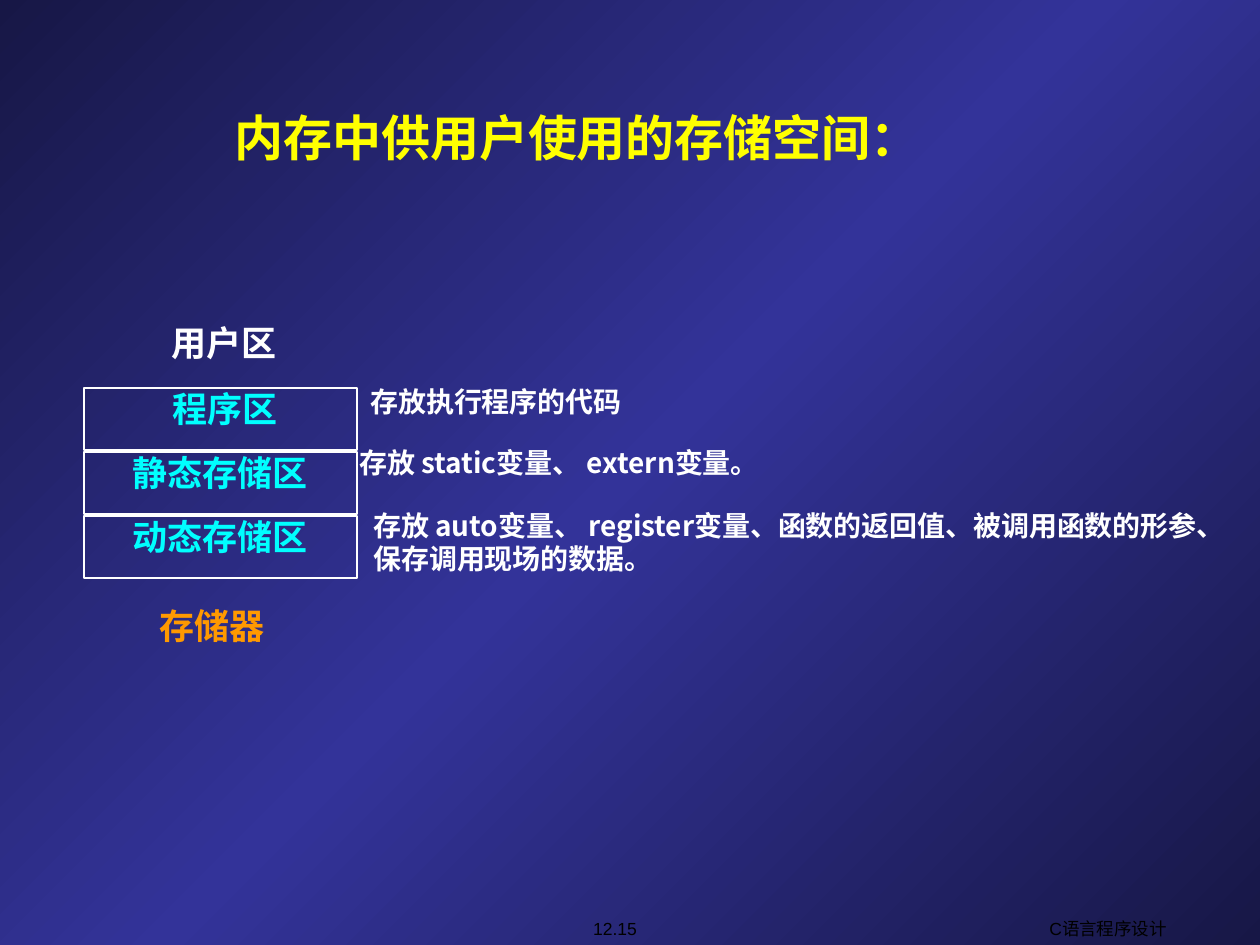
from copy import deepcopy
from dataclasses import dataclass

from lxml import etree
from pptx import Presentation
from pptx.dml.color import RGBColor
from pptx.enum.shapes import MSO_SHAPE
from pptx.enum.text import MSO_ANCHOR, MSO_AUTO_SIZE, PP_ALIGN
from pptx.oxml.ns import qn
from pptx.util import Emu, Pt

LEFT, CENTER = PP_ALIGN.LEFT, PP_ALIGN.CENTER
TOP, MIDDLE = MSO_ANCHOR.TOP, MSO_ANCHOR.MIDDLE
FIT_SHAPE, NO_FIT = MSO_AUTO_SIZE.SHAPE_TO_FIT_TEXT, MSO_AUTO_SIZE.NONE
RECT = MSO_SHAPE.RECTANGLE
TITLE_ONLY = 5
PX_PER_INCH = 126


@dataclass(frozen=True)
class Style:
    size: int
    color: str
    font: str = "Noto Sans CJK SC"
    bold: bool = True


@dataclass(frozen=True)
class Theme:
    edge: str = "171746"
    glow: str = "333399"
    border: str = "FFFFFF"
    east_asian: str = "Noto Sans CJK SC"
    title: Style = Style(28, "FFFF00")
    heading: Style = Style(20, "FFFFFF")
    caption: Style = Style(20, "FF9900")
    area: Style = Style(20, "00FFFF", "Times New Roman")
    note: Style = Style(16, "FFFFFF")
    footer: Style = Style(10, "000000", "Arial", False)


THEME = Theme()


@dataclass(frozen=True)
class Label:
    text: str
    x: int
    y: int
    w: int
    h: int
    style: Style
    align: PP_ALIGN = LEFT
    anchor: MSO_ANCHOR = TOP
    wrap: bool = False


@dataclass(frozen=True)
class Area:
    name: str
    indent: int = 0


LABELS = [
    Label("12.15", 551, 911, 128, 34, THEME.footer, CENTER, MIDDLE),
    Label("C语言程序设计", 1028, 911, 160, 34, THEME.footer, CENTER, MIDDLE),
    Label("用户区", 159, 315, 134, 55, THEME.heading),
    Label("存放执行程序的代码", 358, 378, 290, 47, THEME.note),
    Label("存放 static变量、 extern变量。", 347, 439, 480, 47, THEME.note),
    Label("存放 auto变量、 register变量、函数的返回值、被调用函数的形参、保存调用现场的数据。",
          361, 502, 859, 81, THEME.note, wrap=True),
    Label("存储器", 147, 598, 134, 55, THEME.caption),
]

AREAS = [Area("程序区", indent=10), Area("静态存储区"), Area("动态存储区")]
AREA_X, AREA_Y, AREA_W, AREA_H, AREA_PITCH = 84, 388, 273, 62, 64


def px(n: int) -> Emu:
    return Emu(round(n * 914400 / PX_PER_INCH))


def write(tf, text: str, style: Style, align: PP_ALIGN) -> None:
    p = tf.paragraphs[0]
    p.alignment = align
    r = p.add_run()
    r.text = text
    r.font.name = style.font
    r.font.size = Pt(style.size)
    r.font.bold = style.bold
    r.font.color.rgb = RGBColor.from_string(style.color)
    ea = etree.SubElement(r.font._element, qn("a:ea"))
    ea.set("typeface", THEME.east_asian)


def paint_background(slide) -> None:
    """Diagonal gradient, bright in the middle and dark at both corners."""
    fill = slide.background.fill
    fill.gradient()
    fill.gradient_angle = 315
    stop_list = slide.element.find(".//" + qn("a:gsLst"))
    stop_list.insert(1, deepcopy(stop_list[0]))
    colors = (THEME.edge, THEME.glow, THEME.edge)
    for i, (stop, color) in enumerate(zip(fill.gradient_stops, colors)):
        stop.position = i / 2
        stop.color.rgb = RGBColor.from_string(color)


def add_title(slide, text: str) -> None:
    sp = slide.shapes.title
    sp.left, sp.top, sp.width, sp.height = px(94), px(84), px(966), px(105)
    tf = sp.text_frame
    tf.auto_size = NO_FIT
    tf.vertical_anchor = MIDDLE
    write(tf, text, THEME.title, CENTER)


def add_label(slide, label: Label) -> None:
    sp = slide.shapes.add_textbox(px(label.x), px(label.y), px(label.w), px(label.h))
    tf = sp.text_frame
    tf.word_wrap = label.wrap
    tf.auto_size = FIT_SHAPE
    tf.vertical_anchor = label.anchor
    write(tf, label.text, label.style, label.align)


def add_area(slide, area: Area, row: int) -> None:
    sp = slide.shapes.add_shape(RECT, px(AREA_X), px(AREA_Y + row * AREA_PITCH),
                                px(AREA_W), px(AREA_H))
    sp.shadow.inherit = False
    sp.fill.background()
    sp.line.color.rgb = RGBColor.from_string(THEME.border)
    sp.line.width = Pt(0.75)
    tf = sp.text_frame
    tf.margin_left = px(area.indent)
    tf.margin_top = tf.margin_right = tf.margin_bottom = 0
    tf.vertical_anchor = TOP
    write(tf, area.name, THEME.area, CENTER)


def main() -> None:
    prs = Presentation()
    prs.slide_width, prs.slide_height = px(1260), px(945)
    slide = prs.slides.add_slide(prs.slide_layouts[TITLE_ONLY])
    paint_background(slide)
    add_title(slide, "内存中供用户使用的存储空间：")
    for label in LABELS:
        add_label(slide, label)
    for row, area in enumerate(AREAS):
        add_area(slide, area, row)
    prs.save("out.pptx")


if __name__ == "__main__":
    main()
